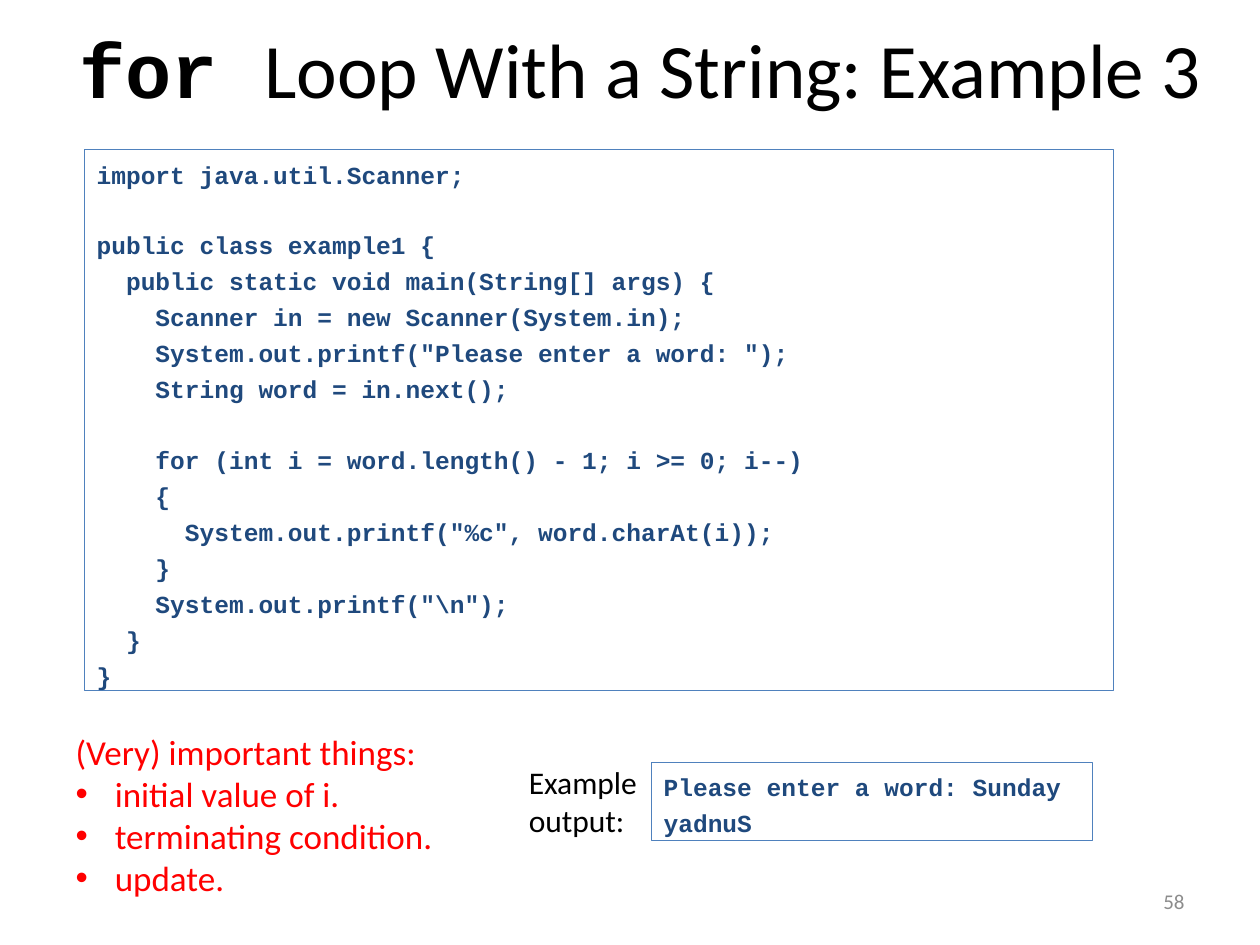
"""Build the slide on a for loop that walks a string backwards."""
from lxml.etree import SubElement
from pptx import Presentation
from pptx.dml.color import RGBColor
from pptx.enum.shapes import MSO_SHAPE
from pptx.enum.text import MSO_ANCHOR, MSO_AUTO_SIZE, PP_ALIGN
from pptx.oxml.ns import qn
from pptx.util import Cm, Pt

COLORS = {"title": "000000", "code": "1F497D", "border": "4F81BD",
          "points": "FF0000", "number": "8C8C8C"}
TITLE = [("for ", "Courier New", True),
         ("Loop With a String: Example 3", "Calibri", False)]
CODE = [
    ["import java.util.Scanner;"],
    ["public class example1 {",
     "  public static void main(String[] args) {",
     "    Scanner in = new Scanner(System.in);",
     '    System.out.printf("Please enter a word: ");',
     "    String word = in.next();"],
    ["    for (int i = word.length() - 1; i >= 0; i--)",
     "    {",
     '      System.out.printf("%c", word.charAt(i));',
     "    }",
     '    System.out.printf("\\n");',
     "  }",
     "}"],
]
OUTPUT = [["Please enter a word: Sunday", "yadnuS"]]
HEADING = "(Very) important things:"
POINTS = ["initial value of i.", "terminating condition.", "update."]
LINE_GAP, BLOCK_GAP = 3.8, 23.4


def style(font, size, color, name="Calibri", bold=False):
    """Set the look of a font."""
    font.name, font.size, font.bold = name, Pt(size), bold
    font.color.rgb = RGBColor.from_string(COLORS[color])


def place(shape, left, top, width, height):
    """Move a shape, with lengths in centimetres."""
    shape.left, shape.top = Cm(left), Cm(top)
    shape.width, shape.height = Cm(width), Cm(height)


def add_code(page, blocks, *bounds):
    """Add a framed listing whose blocks are set apart by spacing."""
    box = page.shapes.add_shape(MSO_SHAPE.RECTANGLE, *map(Cm, bounds))
    box.shadow.inherit = False
    box.fill.background()
    box.line.color.rgb = RGBColor.from_string(COLORS["border"])
    box.line.width = Pt(0.75)
    frame = box.text_frame
    frame.vertical_anchor = MSO_ANCHOR.TOP
    frame.margin_top = Cm(0.2)
    frame.word_wrap = True
    for block_index, block in enumerate(blocks):
        for line_index, line in enumerate(block):
            first = block_index == line_index == 0
            para = frame.paragraphs[0] if first else frame.add_paragraph()
            para.text = line
            para.alignment = PP_ALIGN.LEFT
            gap = LINE_GAP if line_index else BLOCK_GAP
            para.space_before = Pt(0 if first else gap)
            style(para.font, 14, "code", "Courier New", True)


def add_label(page, text, size, color, align, *bounds):
    """Add a small text box."""
    box = page.shapes.add_textbox(*map(Cm, bounds))
    box.text_frame.vertical_anchor = MSO_ANCHOR.MIDDLE
    box.text_frame.word_wrap = True
    para = box.text_frame.paragraphs[0]
    para.text = text
    para.alignment = align
    style(para.font, size, color)


def fill_title(title):
    """Write the title in its two fonts."""
    place(title, 1.27, 0.2, 23.29, 2.34)
    title.text_frame.auto_size = MSO_AUTO_SIZE.NONE
    title.text_frame.vertical_anchor = MSO_ANCHOR.MIDDLE
    para = title.text_frame.paragraphs[0]
    para.alignment = PP_ALIGN.CENTER
    for text, name, bold in TITLE:
        span = para.add_run()
        span.text = text
        style(span.font, 44, "title", name, bold)


def fill_points(body):
    """Write the heading and its bulleted list."""
    place(body, 1.27, 14.6, 9, 3.68)
    frame = body.text_frame
    frame.auto_size = MSO_AUTO_SIZE.NONE
    for index, text in enumerate([HEADING, *POINTS]):
        para = frame.add_paragraph() if index else frame.paragraphs[0]
        para.text = text
        para.space_before = Pt(0)
        properties = para._p.get_or_add_pPr()
        indent = Cm(0.79) if index else 0
        properties.set("marL", str(indent))
        properties.set("indent", str(-indent))
        if index:
            SubElement(properties, qn("a:buFont"), typeface="Arial")
            SubElement(properties, qn("a:buChar"), char="•")
        else:
            SubElement(properties, qn("a:buNone"))
        style(para.font, 20, "points")


def main():
    """Build and save the deck."""
    deck = Presentation()
    deck.slide_width, deck.slide_height = Cm(25.4), Cm(19.05)
    page = deck.slides.add_slide(deck.slide_layouts[1])
    fill_title(page.shapes.title)
    fill_points(page.placeholders[1])
    add_code(page, CODE, 1.7, 3.02, 20.75, 10.9)
    add_code(page, OUTPUT, 13.13, 15.37, 8.89, 1.57)
    add_label(page, "Example\voutput:", 18, "title", PP_ALIGN.LEFT,
              10.41, 15.24, 2.8, 1.8)
    add_label(page, "58", 12, "number", PP_ALIGN.RIGHT,
              18.21, 17.65, 5.92, 1.02)
    deck.save("out.pptx")


if __name__ == "__main__":
    main()
